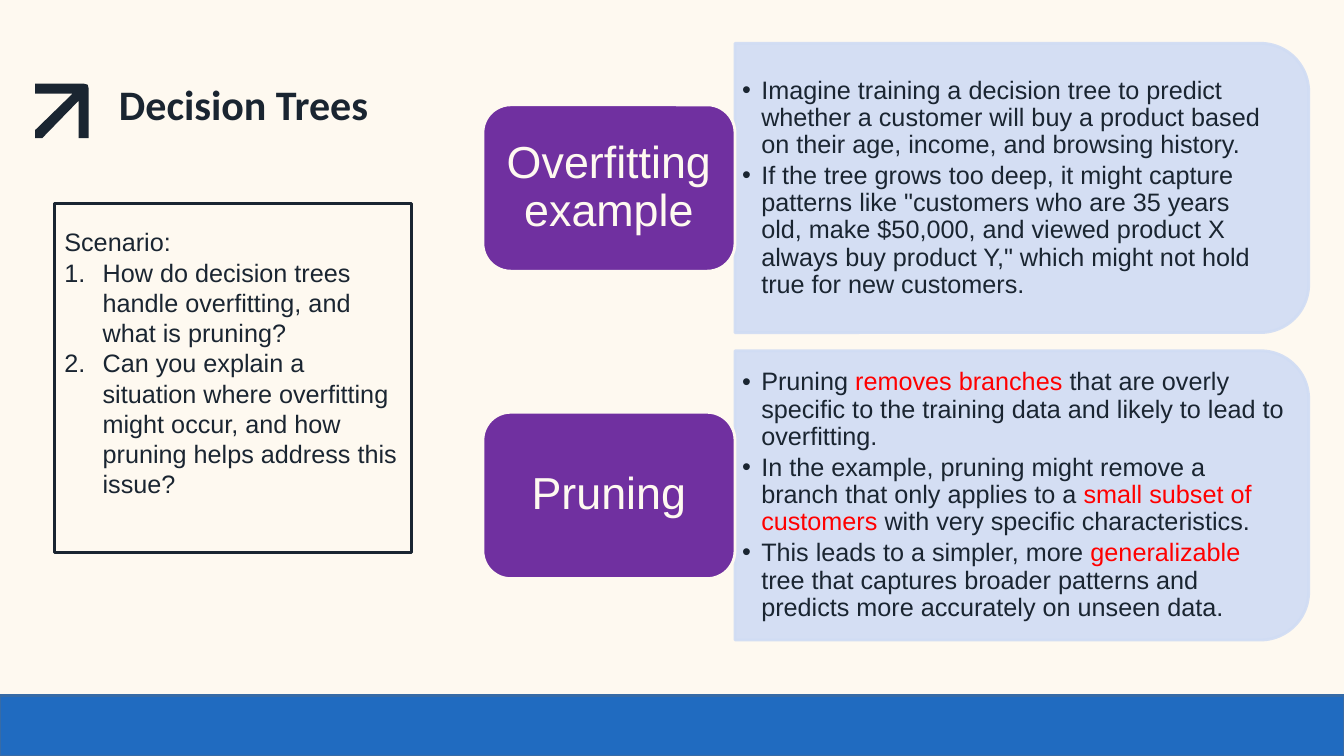
from lxml.etree import SubElement as Sub
from pptx import Presentation
from pptx.dml.color import RGBColor as RGB
from pptx.enum.shapes import MSO_SHAPE as Shape
from pptx.enum.text import MSO_ANCHOR as Anchor, PP_ALIGN as Align
from pptx.oxml.ns import qn
from pptx.util import Inches, Pt

CREAM = RGB(0xFE, 0xF9, 0xF0)
INK = RGB(0x1A, 0x25, 0x31)
BLUE = RGB(0x20, 0x6B, 0xC0)
EDGE = RGB(0x37, 0x6B, 0xA6)
PALE = RGB(0xD0, 0xDC, 0xF4)
PURPLE = RGB(0x70, 0x30, 0xA0)
RED = RGB(0xFF, 0, 0)

TITLE = "Decision Trees"
INTRO = "Scenario:"
ASKS = [
    "How do decision trees handle overfitting, and what is pruning?",
    "Can you explain a situation where overfitting might occur, "
    "and how pruning helps address this issue?",
]
HARD, MARK = "~", "|"
TOPICS = [
    ("Overfitting example", [
        "Imagine training a decision tree to predict whether a customer will "
        "buy a product based on their age,~income,~and browsing history.",
        "If the tree grows too deep,~it might capture patterns like "
        "\"customers who are 35 years old,~make $50,000,~and viewed product X "
        "always buy product Y,\" which might not hold true for new customers.",
    ]),
    ("Pruning", [
        "Pruning |removes branches |that are overly specific to the training "
        "data and likely to lead to overfitting.",
        "In the example,~pruning might remove a branch that only applies to a "
        "|small subset of customers| with very specific characteristics.",
        "This leads to a simpler,~more |generalizable| tree that captures "
        "broader patterns and predicts more accurately on unseen data.",
    ]),
]
ARROW = [(0, 0), (0, 10), (37, 10), (0, 46), (0, 54), (7, 54), (43, 17),
         (43, 54), (53, 54), (53, 5), (52, 1), (48, 0)]

WIDE, HIGH = 13.33, 7.5
FOOT = 0.08 * HIGH
TOP, STEP = 0.43, 3.05
TAG_X, TAG_W, TAG_H = 4.79, 2.5, 1.65
BODY_X = TAG_X + TAG_W
BODY_W, BODY_H = 5.69, 2.87
TEXT_W, TEXT_H = 5.55, 2.59

deck = Presentation()
deck.slide_width, deck.slide_height = Inches(WIDE), Inches(HIGH)
slide = deck.slides.add_slide(deck.slide_layouts[5])
slide.background.fill.solid()
slide.background.fill.fore_color.rgb = CREAM
shapes = slide.shapes


def paint(item, fill, line=None, alpha=None):
    item.shadow.inherit = False
    item.fill.solid()
    item.fill.fore_color.rgb = fill
    if line is None:
        item.line.fill.background()
    else:
        item.line.color.rgb = line
        item.line.width = Pt(2)
    if alpha:
        for tint in item._element.spPr.iter(qn("a:srgbClr")):
            Sub(tint, qn("a:alpha"), val=str(alpha * 1000))


def block(kind, x, y, w, h, fill, line=None, alpha=None):
    item = shapes.add_shape(kind, *map(Inches, (x, y, w, h)))
    paint(item, fill, line, alpha)
    return item


def frame(item, left, top, right, base, anchor=Anchor.MIDDLE):
    text = item.text_frame
    text.word_wrap = True
    text.vertical_anchor = anchor
    text.margin_left, text.margin_top = Inches(left), Inches(top)
    text.margin_right, text.margin_bottom = Inches(right), Inches(base)
    return text


def bullet(para, dent, tag, **attrs):
    props = para._p.get_or_add_pPr()
    props.set("marL", str(Inches(dent)))
    props.set("indent", str(-Inches(dent)))
    Sub(props, qn("a:buFont"), typeface="Arial")
    Sub(props, qn(tag), **attrs)


def style(para, size, color, name="Arial", bold=False, align=Align.LEFT):
    para.alignment = align
    font = para.font
    font.name, font.size, font.bold = name, Pt(size), bold
    font.color.rgb = color


def lines(text, count):
    return [text.paragraphs[0]] + [text.add_paragraph() for _ in range(count - 1)]


title = shapes.title
title.left, title.top = Inches(1.05), Inches(0.65)
title.width, title.height = Inches(4.53), Inches(0.84)
title.text = TITLE
head = frame(title, 0.13, 0.13, 0.13, 0.13, Anchor.TOP).paragraphs[0]
style(head, 30, INK, "Calibri", True)

pen = shapes.build_freeform(*ARROW[0], scale=Inches(0.01))
pen.add_line_segments(ARROW[1:], close=True)
paint(pen.convert_to_shape(Inches(0.35), Inches(0.83)), INK)

case = frame(block(Shape.RECTANGLE, 0.54, 2.02, 3.54, 3.46, CREAM, INK),
             0.1, 0.05, 0.1, 0.35)
for spot, (para, words) in enumerate(zip(lines(case, 1 + len(ASKS)), [INTRO] + ASKS)):
    para.text = words
    if spot:
        bullet(para, 0.38, "a:buAutoNum", type="arabicPeriod")
    style(para, 18, INK)

block(Shape.RECTANGLE, 0, HIGH - FOOT, WIDE, FOOT, BLUE, EDGE)

for row, (name, points) in enumerate(TOPICS):
    top = TOP + row * STEP
    mid = top + BODY_H / 2
    panel = block(Shape.ROUND_2_SAME_RECTANGLE, BODY_X + (BODY_W - BODY_H) / 2,
                  mid - BODY_W / 2, BODY_H, BODY_W, PALE, PALE, 90)
    panel.rotation = 90

    box = shapes.add_textbox(*map(Inches, (BODY_X, mid - TEXT_H / 2, TEXT_W, TEXT_H)))
    body = frame(box, 0.07, 0.04, 0.07, 0.04)
    for para, words in zip(lines(body, len(points)), points):
        for part, chunk in enumerate(words.replace(HARD, chr(160)).split(MARK)):
            run = para.add_run()
            run.text = chunk
            if part % 2:
                run.font.color.rgb = RED
        para.line_spacing, para.space_after = 0.9, Pt(2.7)
        bullet(para, 0.19, "a:buChar", char="•")
        style(para, 18, INK)

    tag = block(Shape.ROUNDED_RECTANGLE, TAG_X, mid - TAG_H / 2, TAG_W, TAG_H,
                PURPLE, CREAM)
    label = frame(tag, 0.13, 0.07, 0.13, 0.07).paragraphs[0]
    label.text = name
    label.line_spacing, label.space_after = 0.9, Pt(11.2)
    style(label, 32, CREAM, align=Align.CENTER)

deck.save("out.pptx")
